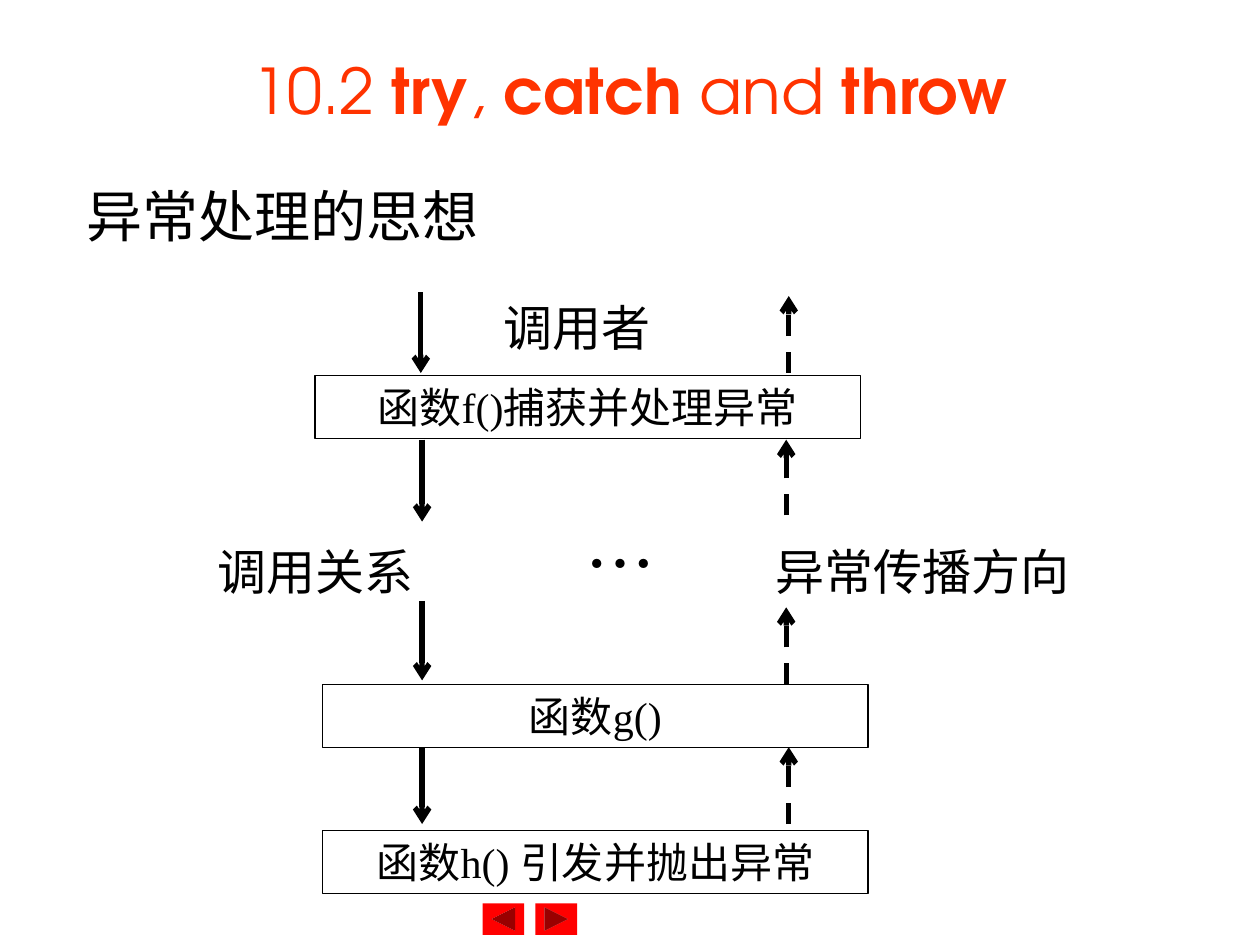
import pptx
import pptx.dml.color
import pptx.enum.dml
import pptx.enum.shapes
import pptx.enum.text
import pptx.oxml
import pptx.oxml.ns
import pptx.util

BLACK, RED, ORANGE = "000000", "FF0000", "FF3300"
BODY_FONT, TITLE_FONT = "Times New Roman", "TeX Gyre Adventor"
LEFT = pptx.enum.text.PP_ALIGN.LEFT
CENTER = pptx.enum.text.PP_ALIGN.CENTER
TOP = pptx.enum.text.MSO_ANCHOR.TOP
MIDDLE = pptx.enum.text.MSO_ANCHOR.MIDDLE
SHAPES = pptx.enum.shapes.MSO_SHAPE

presentation = pptx.Presentation()
presentation.slide_width = pptx.util.Inches(10)
presentation.slide_height = pptx.util.Inches(7.5)
slide = presentation.slides.add_slide(presentation.slide_layouts[6])

# Grid of 100 columns by 100 rows
COLUMN = presentation.slide_width / 100
ROW = presentation.slide_height / 100


def place(left, top, width, height):
    return [pptx.util.Emu(round(length)) for length in
            (left * COLUMN, top * ROW, width * COLUMN, height * ROW)]


def color(target, value):
    target.rgb = pptx.dml.color.RGBColor.from_string(value)


# Navigation buttons
for left, kind in ((38.3, SHAPES.ACTION_BUTTON_BACK_OR_PREVIOUS),
                   (42.5, SHAPES.ACTION_BUTTON_FORWARD_OR_NEXT)):
    button = slide.shapes.add_shape(kind, *place(left, 95.6, 3.3, 3.33))
    button.shadow.inherit = False
    button.fill.solid()
    color(button.fill.fore_color, RED)
    button.line.fill.background()

# Function boxes and free text: (place, boxed, alignment, anchor, font, colour, runs)
# Each run is (text, size, bold)
texts = [
    ((7.5, 1.07, 85, 16.67), False, CENTER, MIDDLE, TITLE_FONT, ORANGE,
     [("10.2 ", 36, False), ("try", 36, True), (", ", 36, False),
      ("catch", 36, True), (" and ", 36, False), ("throw", 36, True)]),
    ((5.9, 18.53, 43.3, 8.53), False, LEFT, TOP, BODY_FONT, BLACK,
     [("异常处理的思想", 32, False)]),
    ((39, 30.8, 22, 7.6), False, LEFT, TOP, BODY_FONT, BLACK,
     [("调用者", 28, False)]),
    ((16.3, 54.4, 77, 10.27), False, LEFT, TOP, BODY_FONT, BLACK,
     [("调用关系\t", 28, False), ("…", 40, False), ("\t异常传播方向", 28, False)]),
]
for left, top, label in ((25, 39.73, "函数f()捕获并处理异常"),
                         (25.6, 72.4, "函数g()"),
                         (25.6, 87.87, "函数h() 引发并抛出异常")):
    texts.append(((left, top, 43.3, 6.67), True, CENTER, MIDDLE, BODY_FONT, BLACK,
                  [(label, 24, False)]))

TAB_COLUMNS = (29.2, 44.3)
for area, boxed, alignment, anchor, font, text_color, runs in texts:
    if boxed:
        shape = slide.shapes.add_shape(SHAPES.RECTANGLE, *place(*area))
        shape.shadow.inherit = False
        shape.fill.background()
        color(shape.line.color, BLACK)
        shape.line.width = pptx.util.Pt(0.75)
    else:
        shape = slide.shapes.add_textbox(*place(*area))
    shape.text_frame.word_wrap = True
    shape.text_frame.vertical_anchor = anchor
    paragraph = shape.text_frame.paragraphs[0]
    paragraph.alignment = alignment
    if "\t" in runs[0][0]:
        tabs = pptx.oxml.parse_xml(f"<a:tabLst {pptx.oxml.ns.nsdecls('a')}/>")
        for tab_column in TAB_COLUMNS:
            tabs.append(pptx.oxml.parse_xml(
                f"<a:tab {pptx.oxml.ns.nsdecls('a')} "
                f'pos="{round(tab_column * COLUMN)}" algn="l"/>'))
        paragraph._p.get_or_add_pPr().append(tabs)
    for text, size, bold in runs:
        run = paragraph.add_run()
        run.text = text
        run.font.name = font
        run.font.size = pptx.util.Pt(size)
        run.font.bold = bold
        color(run.font.color, text_color)

# Call arrows going down, dashed exception arrows going up: (column, from row, to row)
calls = [(33.4, 30.93, 39.47), (33.5, 46.53, 55.2),
         (33.5, 63.6, 72), (33.5, 79.07, 87.2)]
exceptions = [(62.6, 87.2, 79.07), (62.4, 72.4, 64.27),
              (62.4, 54.53, 46.53), (62.6, 39.47, 31.33)]
for column, start, end in calls + exceptions:
    arrow = slide.shapes.add_connector(
        pptx.enum.shapes.MSO_CONNECTOR.STRAIGHT, *place(column, start, column, end))
    color(arrow.line.color, BLACK)
    arrow.line.width = pptx.util.Pt(3)
    if end < start:
        arrow.line.dash_style = pptx.enum.dml.MSO_LINE.DASH
    arrow.line._get_or_add_ln().append(pptx.oxml.parse_xml(
        f'<a:tailEnd {pptx.oxml.ns.nsdecls("a")} type="arrow"/>'))
    arrow._element.spPr.append(pptx.oxml.parse_xml(
        f'<a:effectLst {pptx.oxml.ns.nsdecls("a")}/>'))

presentation.save("out.pptx")
